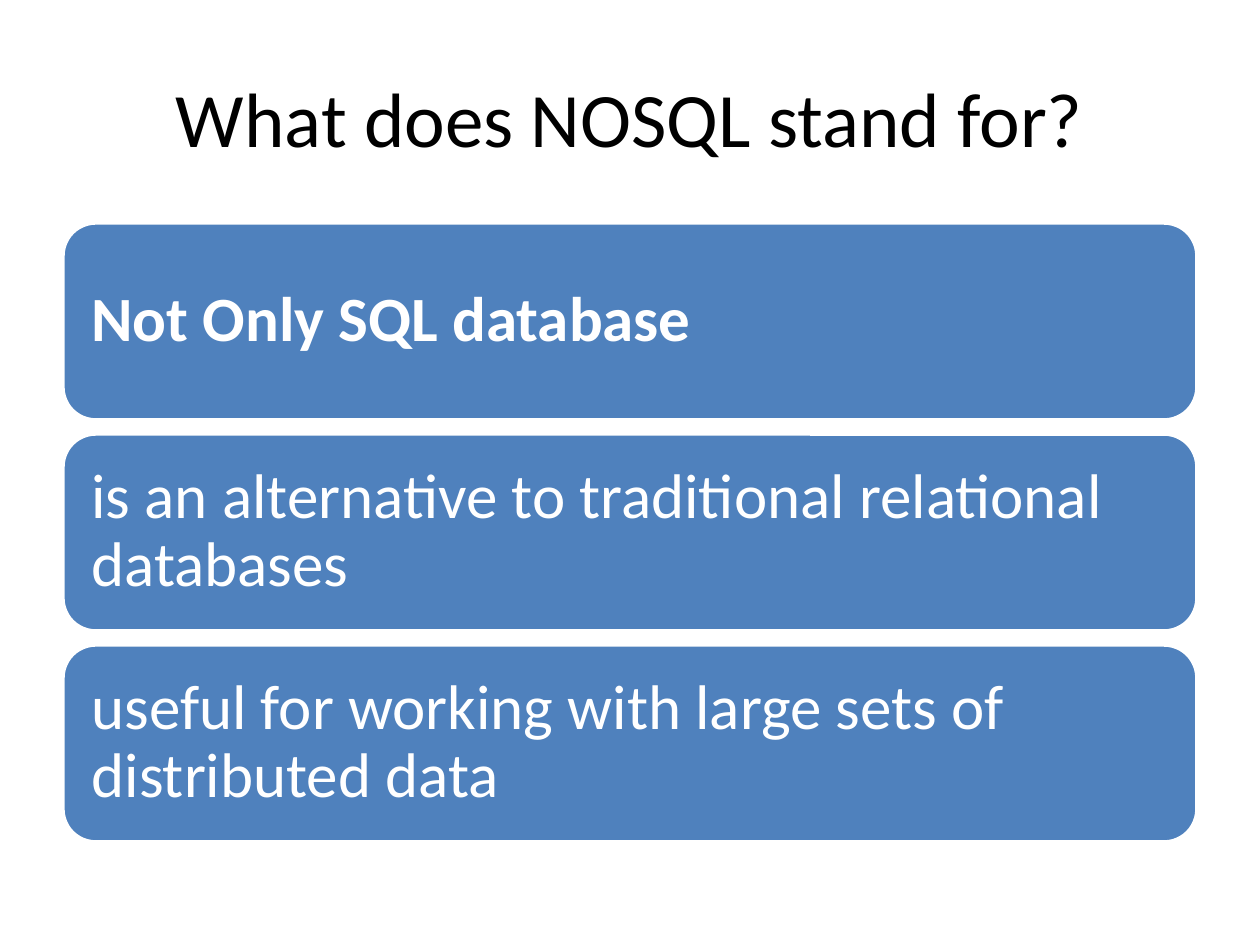
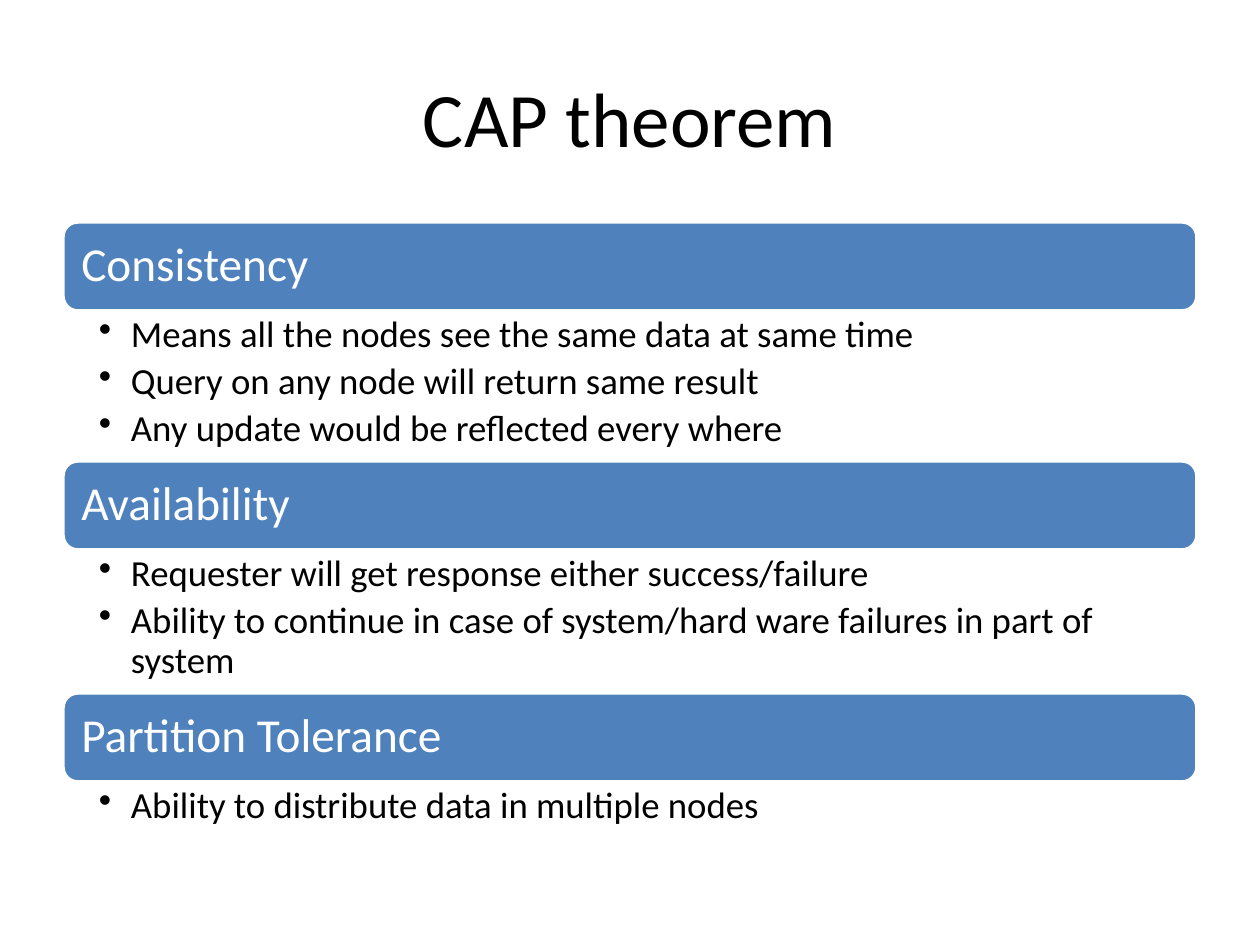
from lxml import etree
from pptx import Presentation
from pptx.dml.color import RGBColor
from pptx.enum.shapes import MSO_SHAPE
from pptx.enum.text import MSO_ANCHOR, PP_ALIGN
from pptx.oxml.ns import qn
from pptx.util import Emu, Pt

BLUE = RGBColor(0x4F, 0x81, 0xBD)
WHITE = RGBColor(0xFF, 0xFF, 0xFF)
BLACK = RGBColor(0x00, 0x00, 0x00)
FONT = "Calibri"

LEFT, WIDTH = 63, 1134
TITLE_BOX = (LEFT, 38, WIDTH, 158)
STATEMENT_BOX = (LEFT, 223, WIDTH, 619)
TOPIC_BOX = (LEFT, 222, WIDTH, 622)
STATEMENT_GAP = 14
HEADING_HEIGHT = 89
BULLET_INDENT = 32

STATEMENTS = [
    ("Not Only SQL database", True),
    ("is an alternative to traditional\u00a0relational databases", False),
    ("useful for working with large sets of distributed data", False),
]
TOPICS = [
    ("Consistency", 150, [
        "Means all the nodes see the same data at same time",
        "Query on any node will return same result",
        "Any update would be reflected every where",
    ]),
    ("Availability", 143, [
        "Requester will get response either success/failure",
        "Ability to continue in case of system/hard ware failures in part of system",
    ]),
    ("Partition Tolerance", 62, ["Ability to distribute data in multiple nodes"]),
]


def px(length):
    """Turn whole pixels into EMU."""
    return Emu(round(length * 914400 / 126))


def add_text(paragraph, text, size, color, bold=False):
    """Add one styled run to a paragraph."""
    run = paragraph.add_run()
    run.text = text
    run.font.name = FONT
    run.font.size = Pt(size)
    run.font.bold = bold
    run.font.color.rgb = color


def set_spacing(paragraph, size, after):
    """Set tight lines and a gap after, as a share of the text size."""
    paragraph.line_spacing = 0.9
    paragraph.space_after = Pt(round(size * after, 1))


def set_margins(frame, left, top, right, bottom):
    """Set the four insets of a wrapping text frame."""
    frame.word_wrap = True
    frame.margin_left, frame.margin_top = px(left), px(top)
    frame.margin_right, frame.margin_bottom = px(right), px(bottom)


def add_titled_slide(deck, title):
    """Add a title-only slide with the shared title style."""
    slide = deck.slides.add_slide(deck.slide_layouts[5])
    heading = slide.shapes.title
    heading.left, heading.top, heading.width, heading.height = map(px, TITLE_BOX)
    heading.text_frame.vertical_anchor = MSO_ANCHOR.MIDDLE
    paragraph = heading.text_frame.paragraphs[0]
    paragraph.alignment = PP_ALIGN.CENTER
    add_text(paragraph, title, 44, BLACK)
    return slide


def add_bar(slide, box, text, size, inset, bold=False):
    """Add a blue rounded bar with left-aligned white text."""
    bar = slide.shapes.add_shape(MSO_SHAPE.ROUNDED_RECTANGLE, *map(px, box))
    bar.shadow.inherit = False
    bar.fill.solid()
    bar.fill.fore_color.rgb = BLUE
    bar.line.color.rgb = WHITE
    bar.line.width = Pt(2)
    frame = bar.text_frame
    frame.vertical_anchor = MSO_ANCHOR.MIDDLE
    set_margins(frame, inset, inset, inset, inset)
    paragraph = frame.paragraphs[0]
    paragraph.alignment = PP_ALIGN.LEFT
    set_spacing(paragraph, size, 0.35)
    add_text(paragraph, text, size, WHITE, bold)


def add_bullets(slide, box, points):
    """Add a bulleted list with hanging indents."""
    frame = slide.shapes.add_textbox(*map(px, box)).text_frame
    set_margins(frame, 36, 5, 26, 5)
    for index, point in enumerate(points):
        paragraph = frame.add_paragraph() if index else frame.paragraphs[0]
        paragraph.level = 1
        set_spacing(paragraph, 21, 0.2)
        properties = paragraph._p.get_or_add_pPr()
        properties.set("marL", str(px(BULLET_INDENT)))
        properties.set("indent", str(-px(BULLET_INDENT)))
        etree.SubElement(properties, qn("a:buChar")).set("char", "\u2022")
        add_text(paragraph, point, 21, BLACK)


def add_statements(slide, box, statements):
    """Fill the box with equal bars, one for each statement."""
    left, top, width, height = box
    step = (height + STATEMENT_GAP) / len(statements)
    for index, (text, bold) in enumerate(statements):
        bar_box = (left, top + index * step, width, step - STATEMENT_GAP)
        add_bar(slide, bar_box, text, 36, 19, bold)


def add_topics(slide, box, topics):
    """Stack heading bars and their bullet lists from the top of the box."""
    left, top, width, _ = box
    for heading, list_height, points in topics:
        add_bar(slide, (left, top, width, HEADING_HEIGHT), heading, 27, 14)
        top += HEADING_HEIGHT
        add_bullets(slide, (left, top, width, list_height), points)
        top += list_height


def main():
    """Build both slides and save the deck."""
    deck = Presentation()
    deck.slide_width, deck.slide_height = px(1260), px(945)
    meaning = add_titled_slide(deck, "What does NOSQL stand for?")
    add_statements(meaning, STATEMENT_BOX, STATEMENTS)
    theorem = add_titled_slide(deck, "CAP theorem")
    add_topics(theorem, TOPIC_BOX, TOPICS)
    deck.save("out.pptx")


main()
